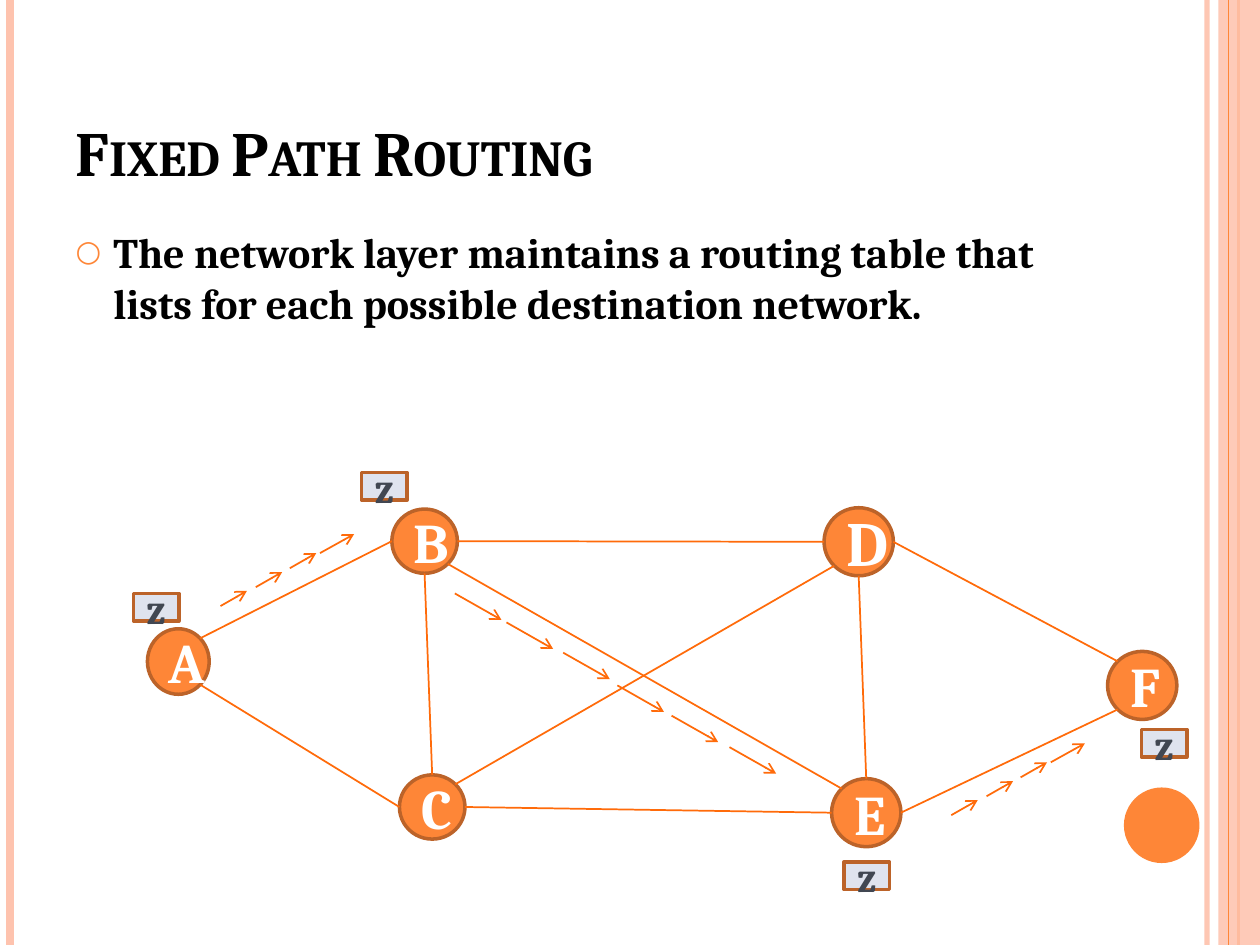
"""Build the Fixed Path Routing slide on a grid of 100 columns by 75 rows."""
import math

import lxml.etree
import pptx
import pptx.dml.color
import pptx.enum.shapes
import pptx.enum.text
import pptx.oxml.ns
import pptx.util

ORANGE = pptx.dml.color.RGBColor(0xFE, 0x86, 0x37)
PEACH = pptx.dml.color.RGBColor(0xFE, 0xC3, 0xAE)
BROWN = pptx.dml.color.RGBColor(0xBC, 0x63, 0x29)
LINK = pptx.dml.color.RGBColor(0xFF, 0x6B, 0x0A)
PALE_BLUE = pptx.dml.color.RGBColor(0xDF, 0xE3, 0xEE)
SLATE = pptx.dml.color.RGBColor(0x41, 0x47, 0x52)
WHITE = pptx.dml.color.RGBColor(0xFF, 0xFF, 0xFF)
BLACK = pptx.dml.color.RGBColor(0, 0, 0)
FONT = "Cambria"
OVAL = pptx.enum.shapes.MSO_SHAPE.OVAL
RECTANGLE = pptx.enum.shapes.MSO_SHAPE.RECTANGLE
qn = pptx.oxml.ns.qn

deck = pptx.Presentation()
deck.slide_width = pptx.util.Inches(10)
deck.slide_height = pptx.util.Inches(7.5)
CELL = deck.slide_width // 100
slide = deck.slides.add_slide(deck.slide_layouts[1])


def draw_line(start, end, color=LINK, width=1, arrow=False):
    points = [round(value * CELL) for value in (*start, *end)]
    line = slide.shapes.add_connector(pptx.enum.shapes.MSO_CONNECTOR.STRAIGHT, *points)
    line.line.color.rgb = color
    line.line.width = pptx.util.Pt(width)
    if arrow:
        lxml.etree.SubElement(line.line._get_or_add_ln(), qn("a:tailEnd"), type="arrow")
    lxml.etree.SubElement(line._element.spPr, qn("a:effectLst"))
    return line


def draw_shape(kind, box, fill, label="", size=32, color=WHITE):
    shape = slide.shapes.add_shape(kind, *[round(value * CELL) for value in box])
    shape.shadow.inherit = False
    shape.fill.solid()
    shape.fill.fore_color.rgb = fill
    if not label:
        shape.line.fill.background()
        return shape
    shape.line.color.rgb = BROWN
    shape.line.width = pptx.util.Pt(2)
    shape.text_frame.vertical_anchor = pptx.enum.text.MSO_ANCHOR.MIDDLE
    paragraph = shape.text_frame.paragraphs[0]
    paragraph.alignment = pptx.enum.text.PP_ALIGN.CENTER
    run = paragraph.add_run()
    run.text = label
    run.font.name, run.font.size, run.font.bold = FONT, pptx.util.Pt(size), True
    run.font.color.rgb = color
    return shape


inner_stripe = draw_line((95.8, 0), (95.8, 75), PEACH, 3)
draw_line((0.8, 0), (0.8, 75), PEACH, 4.5)
draw_line((98.3, 0), (98.3, 75), ORANGE, 1.5)
side_band = draw_shape(RECTANGLE, (96.7, 0, 3.3, 75), PEACH)
draw_line((97.5, 0), (97.5, 75), ORANGE, 0.75)
draw_shape(OVAL, (89.2, 62.5, 6, 6), ORANGE)
for decoration, opacity in ((inner_stripe, 93), (side_band, 87)):
    tint = next(decoration._element.spPr.iter(qn("a:srgbClr")))
    lxml.etree.SubElement(tint, qn("a:alpha"), val=str(opacity * 1000))

heading, summary = slide.placeholders
for holder, box, words, size in (
    (heading, (5, 3, 81.7, 12.5), "Fixed Path Routing", 36),
    (summary, (5, 17.5, 81.7, 53.3), "The network layer maintains a routing table that "
     "lists for each possible destination network.", 24),
):
    holder.left, holder.top, holder.width, holder.height = [round(v * CELL) for v in box]
    holder.text_frame.word_wrap = True
    holder.text_frame.auto_size = pptx.enum.text.MSO_AUTO_SIZE.NONE
    paragraph = holder.text_frame.paragraphs[0]
    paragraph.alignment = pptx.enum.text.PP_ALIGN.LEFT
    paragraph.space_before = pptx.util.Pt(0)
    run = paragraph.add_run()
    run.text = words
    run.font.name, run.font.size, run.font.bold = FONT, pptx.util.Pt(size), True
    run.font.color.rgb = BLACK

heading.text_frame.vertical_anchor = pptx.enum.text.MSO_ANCHOR.BOTTOM
heading.text_frame.paragraphs[0].runs[0].font._element.set("cap", "small")
summary.text_frame.vertical_anchor = pptx.enum.text.MSO_ANCHOR.TOP
bullet = summary.text_frame.paragraphs[0]._p.get_or_add_pPr()
bullet.set("marL", str(3 * CELL))
bullet.set("indent", str(-3 * CELL))
bullet_color = lxml.etree.SubElement(bullet, qn("a:buClr"))
lxml.etree.SubElement(bullet_color, qn("a:srgbClr"), val=str(ORANGE))
lxml.etree.SubElement(bullet, qn("a:buSzPct"), val="70000")
lxml.etree.SubElement(bullet, qn("a:buFont"), typeface=FONT)
lxml.etree.SubElement(bullet, qn("a:buChar"), char="○")

routers = {
    "A": (11.7, 49.9, 4.9, 5.2),
    "B": (31.1, 40.4, 5.2, 5.1),
    "C": (31.7, 61.5, 5.2, 5.1),
    "D": (65.4, 40.3, 5.5, 5.4),
    "E": (66, 61.8, 5.5, 5.4),
    "F": (87.9, 51.7, 5.5, 5.4),
}
for name, box in routers.items():
    draw_shape(OVAL, box, ORANGE, name, 36 if name == "D" else 32)

compass = {"E": 0, "SE": 45, "S": 90, "SW": 135, "W": 180, "NW": 225, "N": 270, "NE": 315}
links = (
    ("A", "SE", "C", "W"), ("A", "NE", "B", "W"), ("B", "S", "C", "N"),
    ("B", "E", "D", "W"), ("C", "E", "E", "W"), ("D", "S", "E", "N"),
    ("D", "E", "F", "NW"), ("E", "E", "F", "SW"), ("C", "NE", "D", "SW"),
    ("B", "SE", "E", "NW"),
)
for origin, origin_side, target, target_side in links:
    ends = []
    for router, side in ((origin, origin_side), (target, target_side)):
        left, top, width, height = routers[router]
        angle = math.radians(compass[side])
        ends.append((left + width / 2 * (1 + math.cos(angle)),
                     top + height / 2 * (1 + math.sin(angle))))
    draw_line(*ends)

for left, top in ((10.6, 47.1), (28.7, 37.5), (67, 68.4), (90.6, 57.9)):
    draw_shape(RECTANGLE, (left, top, 3.6, 2.2), PALE_BLUE, "z", 24, SLATE)

climb = ((0, 0, 2.1, -1.2), (2.8, -1.5, 2.1, -1.2), (5.5, -3, 2.1, -1.2), (7.9, -4.2, 2.7, -1.5))
descent = ((0, 0), (4.1, 2.3), (8.6, 4.7), (12.9, 7.3), (17.2, 9.7), (21.8, 12.2))
hops = [(x + dx, y + dy, run_x, run_y)
        for x, y in ((75.5, 64.7), (17.5, 48.1)) for dx, dy, run_x, run_y in climb]
hops += [(36.1 + dx, 47.1 + dy, 3.7, 2.1) for dx, dy in descent]
for x, y, run_x, run_y in hops:
    draw_line((x, y), (x + run_x, y + run_y), arrow=True)

deck.save("out.pptx")
